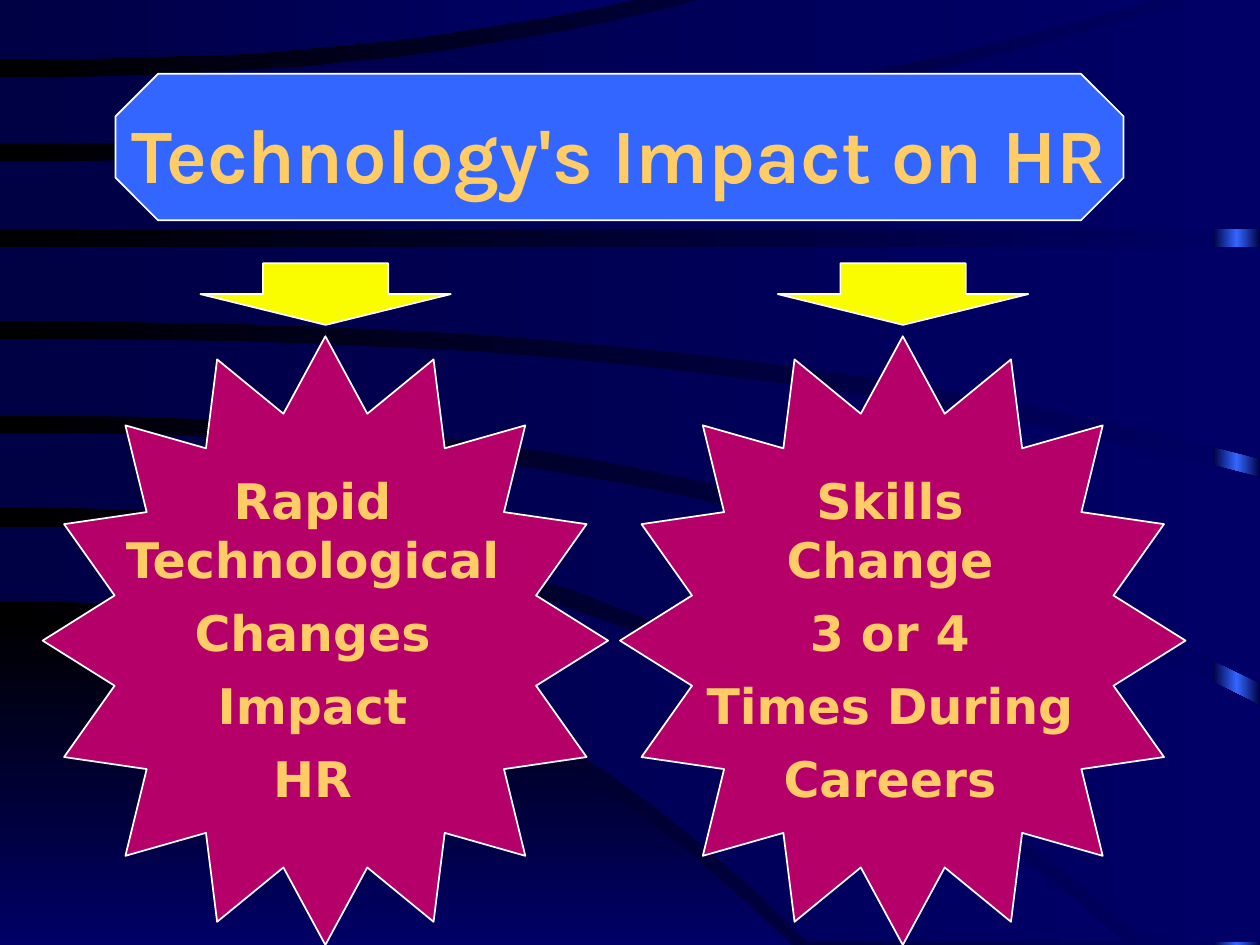
from copy import deepcopy

from pptx import Presentation
from pptx.dml.color import RGBColor
from pptx.enum.shapes import MSO_SHAPE
from pptx.enum.text import MSO_ANCHOR, PP_ALIGN
from pptx.oxml.ns import qn
from pptx.util import Cm, Pt

BLACK = RGBColor(0x00, 0x00, 0x00)
NAVY = RGBColor(0x00, 0x00, 0x44)
INDIGO = RGBColor(0x00, 0x00, 0x66)
BLUE = RGBColor(0x33, 0x66, 0xFF)
MAGENTA = RGBColor(0xB5, 0x00, 0x69)
YELLOW = RGBColor(0xFA, 0xFD, 0x00)
GOLD = RGBColor(0xFF, 0xCC, 0x66)
WHITE = RGBColor(0xFF, 0xFF, 0xFF)

UNIT = Cm(0.0254)
BEND = 2.4
CURVE_STEPS = 16
COLUMN_STEP = 11.64

# Each edge is (height at the left, end x, end height) in UNIT steps.
HILL = ((491, 628, 750), (750, 628, 750))
RIBBONS = [
    ((418, 893, 748), (477, 642, 748)),
    ((344, 1000, 560), (403, 909, 748)),
    ((269, 1000, 379), (330, 1000, 542)),
    ((196, 1000, 196), (255, 1000, 364)),
    ((128, 943, 0), (182, 1000, 182)),
    ((61, 556, 0), (114, 917, 0)),
    ((0, 501, 0), (47, 501, 0)),
]
MESSAGES = [
    ["Rapid\vTechnological", "Changes", "Impact", "HR"],
    ["Skills\vChange", "3 or 4", "Times During", "Careers"],
]


def set_gradient(fill, start, end, angle=0):
    """Fill with a two-colour linear gradient."""
    fill.gradient()
    fill.gradient_angle = angle
    for stop, color in zip(fill.gradient_stops, (start, end)):
        stop.color.rgb = color


def edge_points(start_y, end_x, end_y):
    """Return points on an edge that leaves the left side level and then bends."""
    steps = [i / CURVE_STEPS for i in range(CURVE_STEPS + 1)]
    return [(end_x * t, start_y + (end_y - start_y) * t ** BEND) for t in steps]


def add_ribbon(s, edges, start, end, angle=0):
    """Draw a gradient band between an upper and a lower edge."""
    upper, lower = (edge_points(*edge) for edge in edges)
    near, far = sorted((upper[-1], lower[-1]))
    points = upper + [(far[0], near[1])] + lower[::-1]
    builder = s.shapes.build_freeform(*points[0], scale=UNIT)
    builder.add_line_segments(points[1:], close=True)
    sp = builder.convert_to_shape()
    sp.shadow.inherit = False
    sp.line.fill.background()
    set_gradient(sp.fill, start, end, angle)


def add_glow_strip(s):
    """Draw the strip at the right edge that is brightest in its middle."""
    sp = s.shapes.add_shape(MSO_SHAPE.RECTANGLE, Cm(24.46), 0, Cm(0.94), Cm(19.05))
    sp.shadow.inherit = False
    sp.line.fill.background()
    set_gradient(sp.fill, NAVY, BLUE)
    stop_list = next(sp.element.iter(qn("a:gsLst")))
    last = deepcopy(stop_list[0])
    last.set("pos", "100000")
    stop_list.append(last)
    sp.fill.gradient_stops[1].position = 0.5


def add_plate(s, kind, box, color):
    """Add a preset shape with a plain fill and a thin white outline."""
    sp = s.shapes.add_shape(kind, *map(Cm, box))
    sp.shadow.inherit = False
    sp.fill.solid()
    sp.fill.fore_color.rgb = color
    sp.line.color.rgb = WHITE
    sp.line.width = Pt(1)
    return sp


def add_text(s, box, paragraphs, font, size, anchor):
    """Add a centred bold text box."""
    tf = s.shapes.add_textbox(*map(Cm, box)).text_frame
    tf.word_wrap = True
    tf.vertical_anchor = anchor
    for i, text in enumerate(paragraphs):
        p = tf.add_paragraph() if i else tf.paragraphs[0]
        p.text = text
        p.alignment = PP_ALIGN.CENTER
        if i:
            p.space_before = Pt(8)
        p.font.name = font
        p.font.size = Pt(size)
        p.font.bold = True
        p.font.color.rgb = GOLD


def add_background(s):
    """Paint the night-blue backdrop with its curved bands."""
    set_gradient(s.background.fill, BLACK, INDIGO)
    add_glow_strip(s)
    add_ribbon(s, HILL, BLACK, INDIGO, 270)
    for edges in RIBBONS:
        add_ribbon(s, edges, NAVY, INDIGO)


def add_title(s, text):
    """Add the title over its octagonal plate."""
    sp = add_plate(s, MSO_SHAPE.OCTAGON, (2.33, 1.49, 20.32, 2.95), BLUE)
    sp.adjustments[0] = 0.29
    add_text(s, (1.7, 1.7, 21.59, 2.74), [text], "Karla", 44, MSO_ANCHOR.MIDDLE)


def add_impact(s, left, message):
    """Add an arrow and the starburst message it points to."""
    star = add_plate(s, MSO_SHAPE.STAR_16_POINT, (left, 6.78, 11.4, 12.27), MAGENTA)
    star.adjustments[0] = 0.38
    add_text(s, (left + 0.44, 9.37, 10, 7.2), message, "DejaVu Sans", 28, MSO_ANCHOR.TOP)
    add_plate(s, MSO_SHAPE.DOWN_ARROW, (left + 3.18, 5.31, 5.05, 1.24), YELLOW)


def main():
    """Build the slide and save it."""
    prs = Presentation()
    prs.slide_width, prs.slide_height = Cm(25.4), Cm(19.05)
    s = prs.slides.add_slide(prs.slide_layouts[6])
    add_background(s)
    add_title(s, "Technology's Impact on HR")
    for column, message in enumerate(MESSAGES):
        add_impact(s, 0.86 + column * COLUMN_STEP, message)
    prs.save("out.pptx")


if __name__ == "__main__":
    main()
